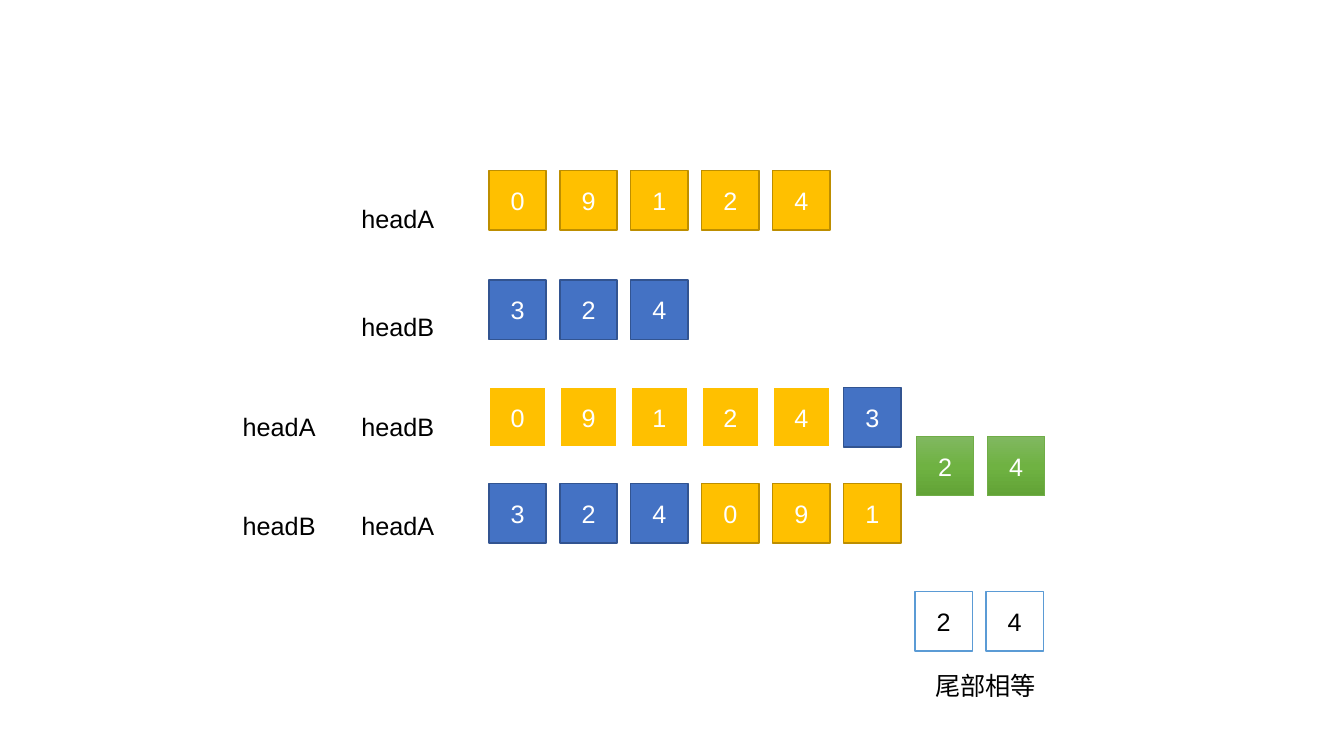
"""Build the slide that joins two linked lists to show their equal tails."""
from copy import deepcopy

from pptx import Presentation
from pptx.dml.color import RGBColor
from pptx.enum.shapes import MSO_SHAPE
from pptx.enum.text import MSO_ANCHOR, MSO_AUTO_SIZE, PP_ALIGN
from pptx.oxml.ns import qn
from pptx.util import Pt

RECT = MSO_SHAPE.RECTANGLE
CENTER, LEFT = PP_ALIGN.CENTER, PP_ALIGN.LEFT
MIDDLE, TOP = MSO_ANCHOR.MIDDLE, MSO_ANCHOR.TOP
GROW = MSO_AUTO_SIZE.SHAPE_TO_FIT_TEXT
CELL_W, CELL_H, PITCH = 41, 42.5, 50.7
LIST_X, OUTER_X, INNER_X = 349.2, 166.3, 251.1
LABEL_W, LABEL_H = 74.5, 29
STYLES = {
    "gold": (["FFC000"], "BD8E00", 1, "FFFFFF"),
    "pale": (["FFC000"], "FFFFFF", 1.5, "FFFFFF"),
    "blue": (["4472C4"], "325491", 1, "FFFFFF"),
    "green": (["81B861", "6FB242", "62A336"], "70AD47", 0.5, "FFFFFF"),
    "white": (["FFFFFF"], "5B9BD5", 1, "000000"),
}


def rgb(value):
    """Return the colour of a hex string."""
    return RGBColor.from_string(value)


def write(sp, text, color="000000", align=LEFT, anchor=TOP, size=18):
    """Put formatted text into a shape."""
    tf = sp.text_frame
    tf.vertical_anchor = anchor
    p = tf.paragraphs[0]
    p.alignment = align
    r = p.add_run()
    r.text = text
    r.font.name = "Arial"
    r.font.size = Pt(size)
    r.font.color.rgb = rgb(color)


def paint(sp, colors):
    """Fill a shape with one colour or a downward three-stop gradient."""
    if len(colors) == 1:
        sp.fill.solid()
        sp.fill.fore_color.rgb = rgb(colors[0])
        return
    sp.fill.gradient()
    sp.fill.gradient_angle = 270
    stops = sp._element.spPr.find(".//" + qn("a:gsLst"))
    stops.insert(1, deepcopy(stops[0]))
    for i, (stop, color) in enumerate(zip(sp.fill.gradient_stops, colors)):
        stop.position = i / (len(colors) - 1)
        stop.color.rgb = rgb(color)


def add_cells(s, x, y, *groups):
    """Draw a run of number cells from (style, digits) groups."""
    cells = [(style, digit) for style, digits in groups for digit in digits]
    for i, (style, digit) in enumerate(cells):
        fill, line, weight, color = STYLES[style]
        sp = s.shapes.add_shape(RECT, Pt(x + i * PITCH), Pt(y), Pt(CELL_W), Pt(CELL_H))
        sp.shadow.inherit = False
        paint(sp, fill)
        sp.line.color.rgb = rgb(line)
        sp.line.width = Pt(weight)
        write(sp, digit, color=color, align=CENTER, anchor=MIDDLE)


def add_label(s, x, y, text, width=LABEL_W):
    """Draw one unwrapped label."""
    sp = s.shapes.add_textbox(Pt(x), Pt(y), Pt(width), Pt(LABEL_H))
    sp.text_frame.word_wrap = False
    sp.text_frame.auto_size = GROW
    write(sp, text)


def add_row(s, y, label_y, labels, *groups):
    """Draw a list with its head labels to the left."""
    for x, text in zip((INNER_X, OUTER_X), reversed(labels)):
        add_label(s, x, label_y, text)
    add_cells(s, LIST_X, y, *groups)


def add_tail(s, x, y):
    """Draw the equal tail with its caption below."""
    add_cells(s, x, y, ("white", "24"))
    add_label(s, x + 7.3, y + 52.6, "尾部相等", width=87)


def main():
    """Build and save the slide."""
    prs = Presentation()
    prs.slide_width, prs.slide_height = Pt(960), Pt(540)
    s = prs.slides.add_slide(prs.slide_layouts[6])
    add_row(s, 121.7, 141.8, ["headA"], ("gold", "09124"))
    add_row(s, 200, 218.9, ["headB"], ("blue", "324"))
    add_row(s, 276.7, 290, ["headA", "headB"], ("pale", "09124"), ("blue", "3"))
    add_row(s, 345.5, 361, ["headB", "headA"], ("blue", "324"), ("gold", "091"))
    add_cells(s, 654.6, 311.7, ("green", "24"))
    add_tail(s, 653.6, 422.5)
    prs.save("out.pptx")


main()
